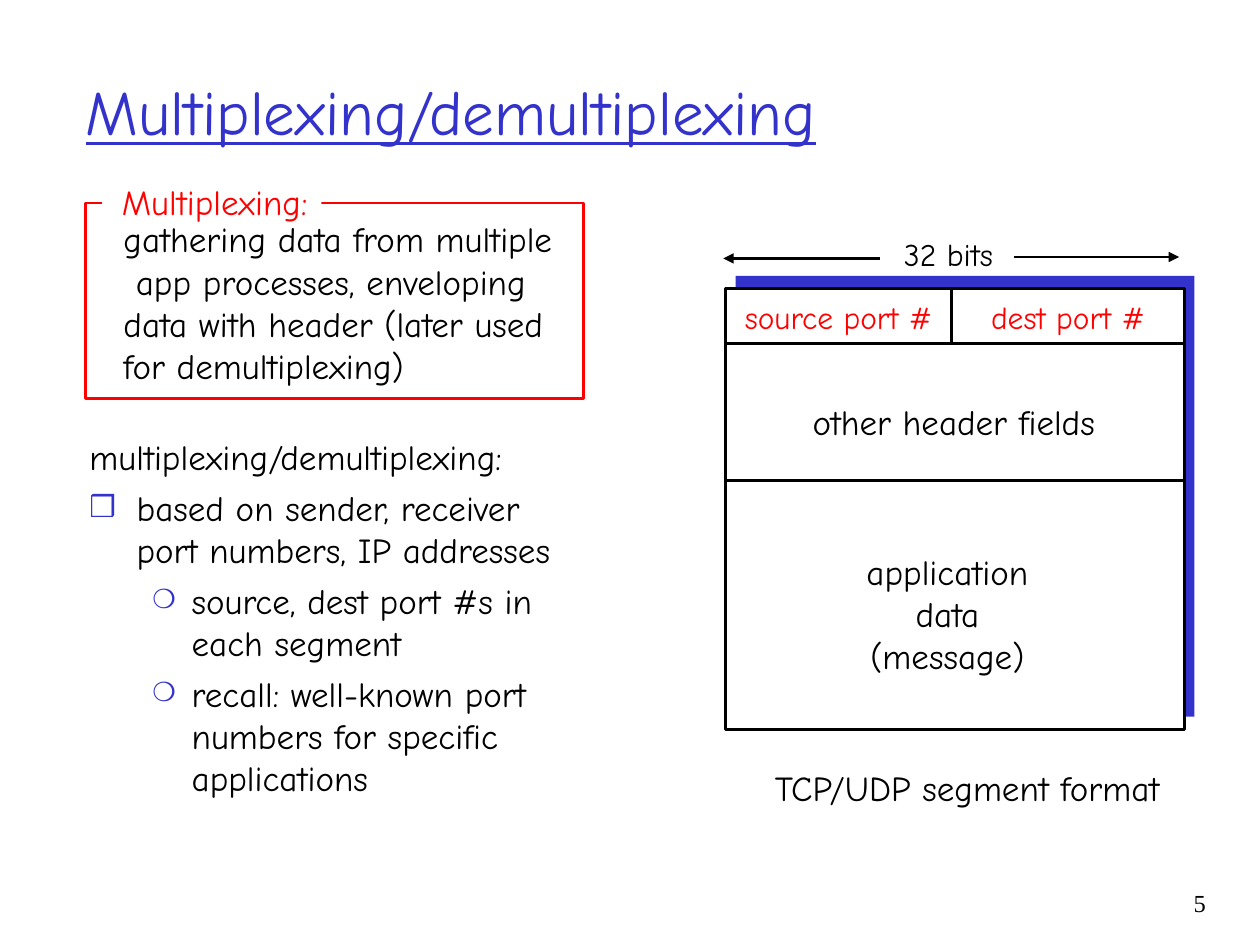
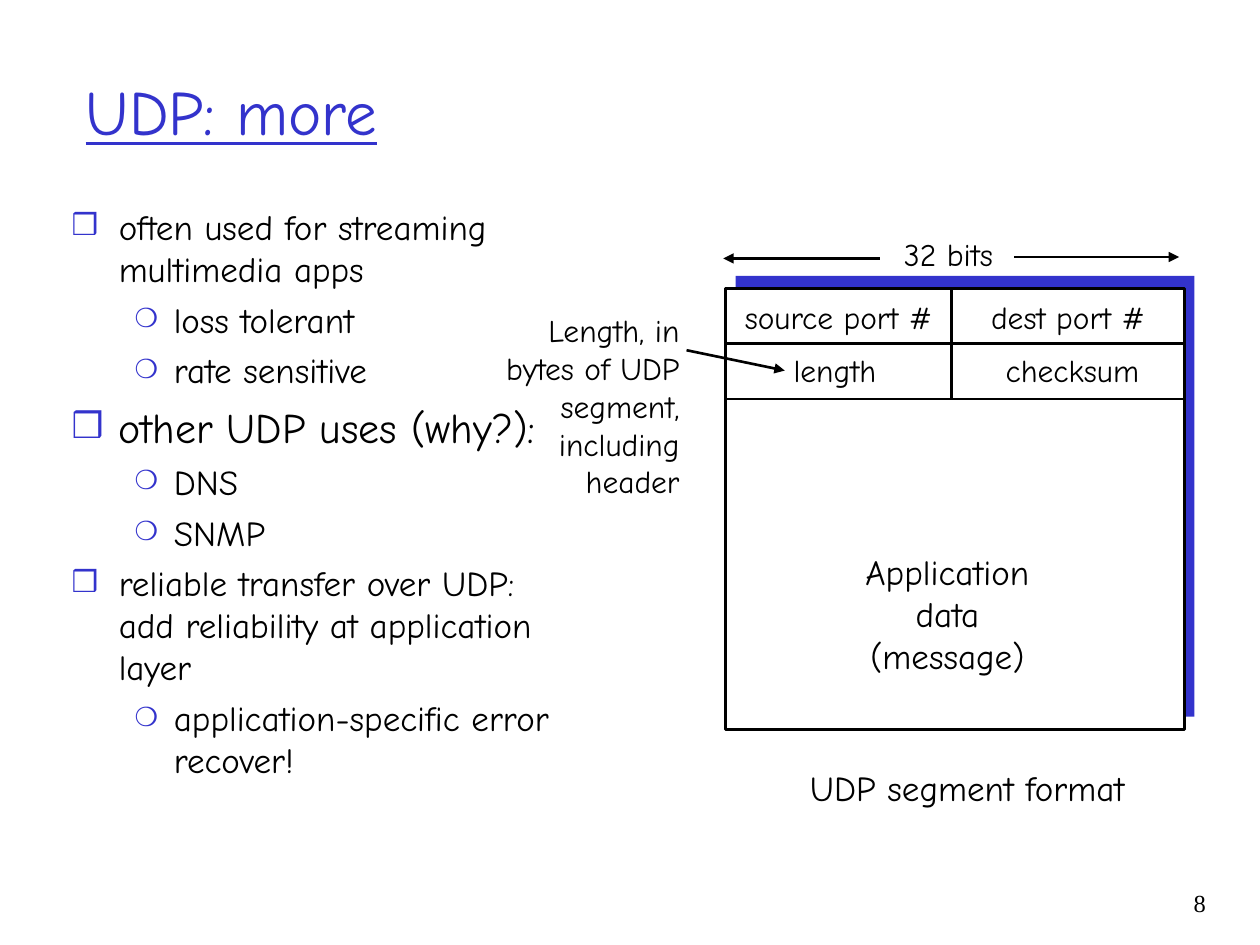
from dataclasses import dataclass

from lxml.etree import SubElement
from pptx import Presentation
from pptx.dml.color import RGBColor
from pptx.enum.shapes import MSO_CONNECTOR as Connector, MSO_SHAPE as Shape
from pptx.enum.text import MSO_ANCHOR as Anchor, MSO_AUTO_SIZE as AutoSize, PP_ALIGN as Align
from pptx.oxml.ns import qn
from pptx.util import Cm, Pt

BLUE = RGBColor(0x33, 0x33, 0xCC)
RED = RGBColor(0xFF, 0x00, 0x00)
BLACK = RGBColor(0x00, 0x00, 0x00)
WHITE = RGBColor(0xFF, 0xFF, 0xFF)
FONT = "Comic Neue"
NUMBER_FONT = "Times New Roman"

# Segment diagram geometry, in cm
SEG_LEFT, SEG_TOP, SEG_WIDTH, SEG_HEIGHT = 14.63, 5.82, 9.25, 8.89
ROW = 1.11
DIVIDER = 19.18
SEG_RIGHT = SEG_LEFT + SEG_WIDTH
LEFT_COLUMN = (SEG_LEFT + DIVIDER) / 2
RIGHT_COLUMN = (DIVIDER + SEG_RIGHT) / 2


@dataclass(frozen=True)
class Label:
    lines: tuple[str, ...]
    center: float
    top: float
    width: float
    size: int = 18
    color: RGBColor = BLACK
    align: Align = Align.CENTER
    indents: tuple[float, ...] = ()


@dataclass(frozen=True)
class Rule:
    x1: float
    y1: float
    x2: float
    y2: float
    arrow: bool = False


@dataclass(frozen=True)
class Box:
    left: float
    top: float
    width: float
    height: float
    fill: RGBColor | None = None
    line: RGBColor | None = None


@dataclass(frozen=True)
class Item:
    text: str
    level: int = 0
    size: int = 20
    bulleted: bool = True


@dataclass(frozen=True)
class BulletStyle:
    char: str
    percent: int
    margin: float
    hanging: float


BULLETS = (BulletStyle("❒", 85, 0.95, 0.95), BulletStyle("❍", 75, 2.06, 0.79))


def place(shape, left: float, top: float, width: float, height: float) -> None:
    shape.left, shape.top, shape.width, shape.height = map(Cm, (left, top, width, height))


def add_run(paragraph, text: str, size: int, color: RGBColor, font: str = FONT):
    run = paragraph.add_run()
    run.text = text
    run.font.name = font
    run.font.size = Pt(size)
    run.font.color.rgb = color
    return run


def draw_box(slide, box: Box) -> None:
    shape = slide.shapes.add_shape(
        Shape.RECTANGLE, *map(Cm, (box.left, box.top, box.width, box.height)))
    shape.shadow.inherit = False
    if box.fill is None:
        shape.fill.background()
    else:
        shape.fill.solid()
        shape.fill.fore_color.rgb = box.fill
    if box.line is None:
        shape.line.fill.background()
    else:
        shape.line.color.rgb = box.line
        shape.line.width = Pt(1.5)


def draw_rule(slide, rule: Rule) -> None:
    connector = slide.shapes.add_connector(
        Connector.STRAIGHT, *map(Cm, (rule.x1, rule.y1, rule.x2, rule.y2)))
    connector.line.color.rgb = BLACK
    connector.line.width = Pt(1.5)
    if rule.arrow:
        SubElement(connector.line._get_or_add_ln(), qn("a:tailEnd"), type="triangle")
    SubElement(connector._element.spPr, qn("a:effectLst"))


def draw_label(slide, label: Label) -> None:
    height = 0.25 + len(label.lines) * label.size * 0.0425
    left = label.center - label.width / 2
    textbox = slide.shapes.add_textbox(*map(Cm, (left, label.top, label.width, height)))
    frame = textbox.text_frame
    frame.word_wrap = False
    frame.auto_size = AutoSize.SHAPE_TO_FIT_TEXT
    for index, line in enumerate(label.lines):
        paragraph = frame.paragraphs[0] if index == 0 else frame.add_paragraph()
        paragraph.alignment = label.align
        if label.indents:
            paragraph._p.get_or_add_pPr().set("marL", str(Cm(label.indents[index])))
        add_run(paragraph, line, label.size, label.color)


def format_item(paragraph, item: Item, first: bool) -> None:
    style = BULLETS[item.level]
    paragraph.level = item.level
    paragraph.alignment = Align.LEFT
    paragraph.space_before = Pt(0 if first else item.size / 4)
    properties = paragraph._p.get_or_add_pPr()
    properties.set("marL", str(Cm(style.margin)))
    properties.set("indent", str(-Cm(style.hanging)))
    if item.bulleted:
        color = SubElement(properties, qn("a:buClr"))
        SubElement(color, qn("a:srgbClr"), val=str(BLUE))
        SubElement(properties, qn("a:buSzPct"), val=str(style.percent * 1000))
        SubElement(properties, qn("a:buFont"), typeface=FONT)
        SubElement(properties, qn("a:buChar"), char=style.char)
    else:
        SubElement(properties, qn("a:buNone"))
    add_run(paragraph, item.text, item.size, BLACK)


def start_slide(prs, title: str, number: int, body: Box, items: tuple[Item, ...]):
    slide = prs.slides.add_slide(prs.slide_layouts[1])
    # Title
    heading = slide.shapes.title
    place(heading, 1.47, 0.64, 21.59, 3.18)
    heading.text_frame.auto_size = AutoSize.NONE
    heading.text_frame.vertical_anchor = Anchor.MIDDLE
    heading.text_frame.paragraphs[0].alignment = Align.LEFT
    add_run(heading.text_frame.paragraphs[0], title, 36, BLUE).font.underline = True
    # Bulleted list
    listing = slide.placeholders[1]
    place(listing, body.left, body.top, body.width, body.height)
    frame = listing.text_frame
    frame.auto_size = AutoSize.NONE
    for index, item in enumerate(items):
        paragraph = frame.paragraphs[0] if index == 0 else frame.add_paragraph()
        format_item(paragraph, item, index == 0)
    # Page number
    footer = slide.shapes.add_textbox(*map(Cm, (22.68, 17.78, 1.88, 1.27)))
    footer.text_frame.word_wrap = True
    footer.text_frame.paragraphs[0].alignment = Align.RIGHT
    add_run(footer.text_frame.paragraphs[0], str(number), 14, BLACK, NUMBER_FONT)
    return slide


def draw_segment(slide, port_color: RGBColor, header_bottom: float, header_rows: int,
                 payload: str, caption: Label) -> None:
    # Frame with offset backing
    draw_box(slide, Box(SEG_LEFT + 0.2, SEG_TOP - 0.26, SEG_WIDTH, SEG_HEIGHT, fill=BLUE))
    draw_box(slide, Box(SEG_LEFT, SEG_TOP, SEG_WIDTH, SEG_HEIGHT, WHITE, BLACK))
    # Row lines, column divider and width arrows
    for rule in (
        Rule(SEG_LEFT, SEG_TOP + ROW, SEG_RIGHT, SEG_TOP + ROW),
        Rule(SEG_LEFT, header_bottom, SEG_RIGHT, header_bottom),
        Rule(DIVIDER, SEG_TOP + header_rows * ROW, DIVIDER, SEG_TOP),
        Rule(20.45, 5.18, 23.77, 5.18, arrow=True),
        Rule(17.73, 5.21, 14.58, 5.21, arrow=True),
    ):
        draw_rule(slide, rule)
    # Field names
    for label in (
        Label(("32 bits",), 19.12, 4.62, 2.6),
        Label(("source port #",), LEFT_COLUMN, 5.89, 4.5, color=port_color),
        Label(("dest port #",), RIGHT_COLUMN, 5.89, 3.9, color=port_color),
        Label((payload, "data", "(message)"), 19.1, 10.97, 4.2, size=20),
        caption,
    ):
        draw_label(slide, label)


def build_multiplexing(prs) -> None:
    slide = start_slide(prs, "Multiplexing/demultiplexing", 5, Box(1.55, 8.66, 10.59, 7.75), (
        Item("multiplexing/demultiplexing:", bulleted=False),
        Item("based on sender, receiver port numbers, IP addresses"),
        Item("source, dest port #s in each segment", 1),
        Item("recall: well-known port numbers for specific applications", 1),
    ))
    # Definition box with its heading set into the border
    draw_box(slide, Box(1.73, 4.09, 10.03, 3.94, line=RED))
    draw_box(slide, Box(2.06, 3.61, 4.42, 0.91, fill=WHITE))
    draw_label(slide, Label(("Multiplexing:",), 4.33, 3.51, 4.6, 20, RED))
    draw_label(slide, Label((
        "gathering data from multiple",
        "app processes, enveloping",
        "data with header (later used",
        "for demultiplexing)",
    ), 6.99, 4.27, 9.5, 20, align=Align.LEFT, indents=(0, 0.25, 0, 0)))
    # General segment
    draw_segment(slide, RED, 9.68, 1, "application",
                 Label(("TCP/UDP segment format",), 19.5, 15.32, 8.7, 20))
    draw_label(slide, Label(("other header fields",), 19.23, 7.95, 6.5, 20))


def build_udp(prs) -> None:
    slide = start_slide(prs, "UDP: more", 8, Box(1.19, 4.01, 10.59, 12.9), (
        Item("often used for streaming multimedia apps"),
        Item("loss tolerant", 1),
        Item("rate sensitive", 1),
        Item("other UDP uses (why?):", size=24),
        Item("DNS", 1),
        Item("SNMP", 1),
        Item("reliable transfer over UDP: add reliability at application layer"),
        Item("application-specific error recover!", 1),
    ))
    # UDP segment
    draw_segment(slide, BLACK, SEG_TOP + 2 * ROW, 2, "Application",
                 Label(("UDP segment format",), 19.5, 15.32, 7.2, 20))
    draw_label(slide, Label(("length",), 16.83, 6.96, 2.5))
    draw_label(slide, Label(("checksum",), 21.62, 6.95, 3.5))
    # Note on the length field
    draw_label(slide, Label(
        ("Length, in", "bytes of UDP", "segment,", "including", "header"),
        11.8, 6.15, 4.3, align=Align.RIGHT))
    draw_rule(slide, Rule(13.84, 7.06, 15.82, 7.47, arrow=True))


def main() -> None:
    prs = Presentation()
    prs.slide_width, prs.slide_height = Cm(25.4), Cm(19.05)
    build_multiplexing(prs)
    build_udp(prs)
    prs.save("out.pptx")


if __name__ == "__main__":
    main()
